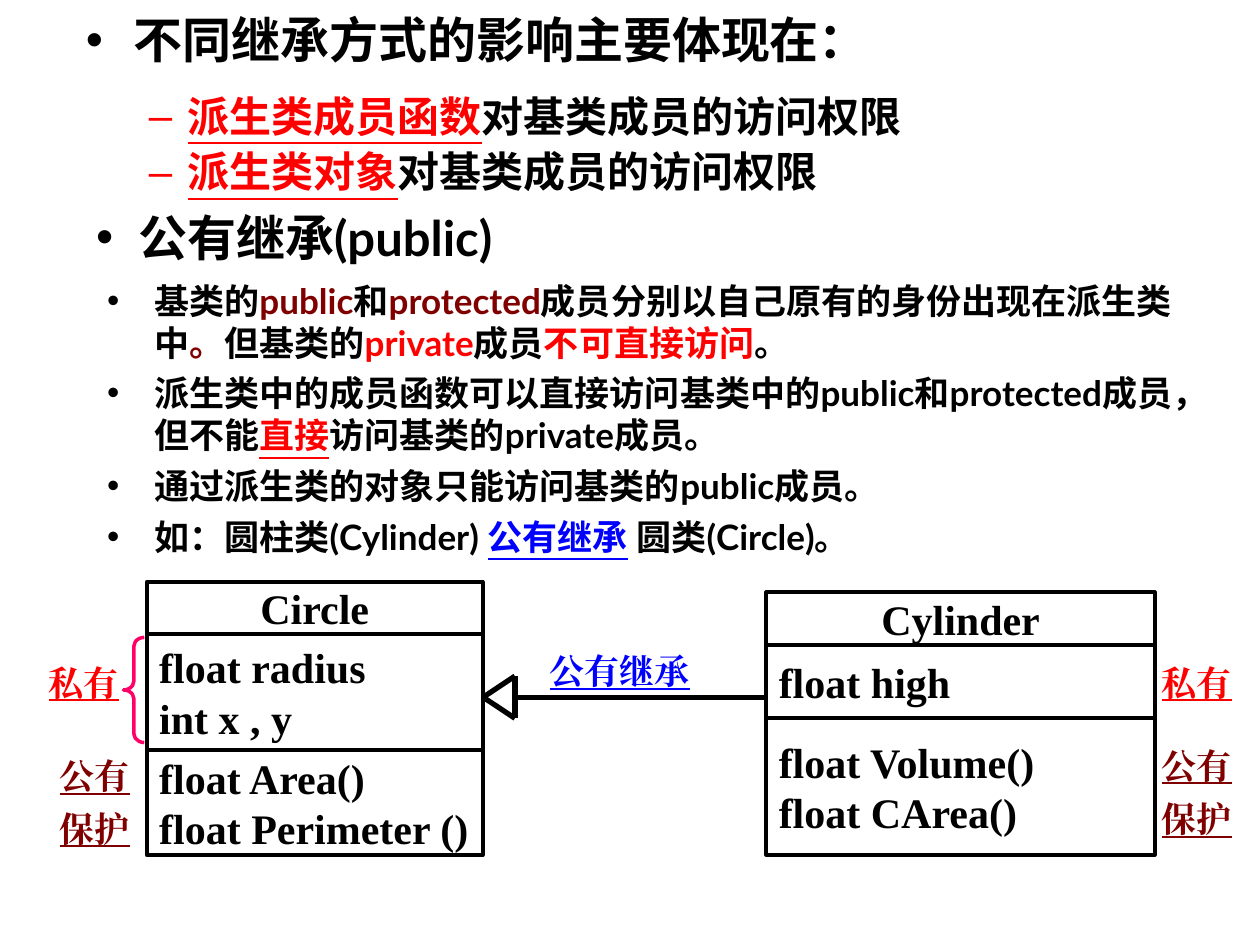
from lxml import etree
from pptx import Presentation
from pptx import util as u
from pptx.dml.color import RGBColor
from pptx.enum import shapes, text
from pptx.oxml import ns

COLORS = {"black": "000000", "red": "FF0000", "maroon": "800000",
          "blue": "0000FF", "pink": "FF0066"}
LATO = "Lato"
CJK = "Noto Sans CJK SC"
SERIF = "Times New Roman"
CENTER = text.PP_ALIGN.CENTER
MIDDLE = text.MSO_ANCHOR.MIDDLE


def color(name):
    return RGBColor.from_string(COLORS[name])


def set_all(target, values):
    for name, value in values.items():
        setattr(target, name, value)


def add_element(parent, tag, **attributes):
    return etree.SubElement(parent, ns.qn(tag), attributes)


def place(frame):
    return [u.Cm(value) for value in frame]


def add_span(para, wording, font, size, ink="black", underline=False):
    span = para.add_run()
    span.text = wording
    set_all(span.font, {"name": font, "size": u.Pt(size), "bold": True,
                        "underline": underline})
    span.font.color.rgb = color(ink)
    east_asian = LATO if font == CJK else font
    add_element(span.font._element, "a:ea", typeface=east_asian)


def add_bullet(para, mark, ink, margin, hanging):
    properties = para._p.get_or_add_pPr()
    properties.set("marL", str(u.Cm(margin)))
    properties.set("indent", str(-u.Cm(hanging)))
    tint = add_element(properties, "a:buClr")
    add_element(tint, "a:srgbClr", val=COLORS[ink])
    add_element(properties, "a:buFont", typeface="Arial")
    add_element(properties, "a:buChar", char=mark)


def add_bullets(page, frame, items, font, size, bullet, anchor=None, **spacing):
    box = page.shapes.add_textbox(*place(frame))
    set_all(box.text_frame, {"word_wrap": True, "vertical_anchor": anchor})
    for index, spans in enumerate(items):
        para = box.text_frame.paragraphs[0] if index == 0 else box.text_frame.add_paragraph()
        add_bullet(para, *bullet)
        set_all(para, spacing)
        if index == 0:
            para.space_before = u.Pt(0)
        for span in spans:
            add_span(para, span[0], font, size, *span[1:])
    return box


def add_effects(page, frame):
    right = "对基类成员的访问权限"
    box = add_bullets(page, frame, [[("不同继承方式的影响主要体现在：",)]],
                      CJK, 28, ("•", "black", 0.97, 0.97), line_spacing=0.9)
    for subject, gap in (("派生类成员函数", 15), ("派生类对象", 6)):
        para = box.text_frame.add_paragraph()
        add_bullet(para, "–", "red", 2.06, 0.79)
        set_all(para, {"level": 1, "line_spacing": 0.9, "space_before": u.Pt(gap)})
        add_span(para, subject, CJK, 24, "red", True)
        add_span(para, right, CJK, 24)


def add_rules(page, frame):
    items = [
        [("基类的",), ("public", "maroon"), ("和",), ("protected", "maroon"),
         ("成员分别以自己原有的身份出现在派生类中",), ("。", "maroon"), ("但基类的",),
         ("private", "red"), ("成员",), ("不可直接访问", "red"), ("。",)],
        [("派生类中的成员函数可以直接访问基类中的public和protected成员，但不能",),
         ("直接", "red", True), ("访问基类的private成员。",)],
        [("通过派生类的对象只能访问基类的public成员。",)],
        [("如：圆柱类(Cylinder) ",), ("公有继承", "blue", True), (" 圆类(Circle)。",)],
    ]
    add_bullets(page, frame, items, LATO, 20, ("•", "black", 0.95, 0.95),
                space_before=u.Pt(5))


def add_class(page, frame, compartments):
    left, top, width = frame
    for index, (height, lines) in enumerate(compartments):
        box = page.shapes.add_shape(shapes.MSO_SHAPE.RECTANGLE,
                                    *place((left, top, width, height)))
        box.shadow.inherit = False
        box.fill.background()
        box.line.color.rgb = color("black")
        box.line.width = u.Pt(2.25)
        set_all(box.text_frame, {"word_wrap": False, "vertical_anchor": MIDDLE})
        for number, line in enumerate(lines):
            para = box.text_frame.paragraphs[0] if number == 0 else box.text_frame.add_paragraph()
            para.alignment = CENTER if index == 0 else text.PP_ALIGN.LEFT
            add_span(para, line, SERIF, 24)
        top += height


def add_label(page, frame, wording, ink):
    box = page.shapes.add_textbox(*place(frame))
    set_all(box.text_frame, {"word_wrap": False, "vertical_anchor": MIDDLE})
    para = box.text_frame.paragraphs[0]
    para.alignment = CENTER
    add_span(para, wording, SERIF, 20, ink, True)


def add_access_labels(page, left, labels):
    for offset, top, wording, ink in labels:
        add_label(page, (left + offset, top, 2.54, 1.48), wording, ink)


def add_inheritance_arrow(page, frame):
    left, top, width, height = frame
    middle, base, right = top + height / 2, left + 0.64, left + width
    strokes = [
        (left, middle, base, top),
        (left, middle, base, top + height),
        (base, top, base, top + height),
        (base, middle, right, middle),
    ]
    for stroke in strokes:
        line = page.shapes.add_connector(shapes.MSO_CONNECTOR.STRAIGHT, *place(stroke))
        line.line.color.rgb = color("black")
        line.line.width = u.Pt(3)
        add_element(line._element.spPr, "a:effectLst")
    add_label(page, (left + 0.85, top - 0.85, 3.81, 1.48), "公有继承", "blue")


def add_brace(page, frame):
    brace = page.shapes.add_shape(shapes.MSO_SHAPE.LEFT_BRACE, *place(frame))
    brace.shadow.inherit = False
    brace.adjustments[0] = 0.42
    brace.fill.background()
    brace.line.color.rgb = color("pink")
    brace.line.width = u.Pt(2)


def main():
    deck = Presentation()
    deck.slide_width, deck.slide_height = u.Cm(25.4), u.Cm(19.05)
    page = deck.slides.add_slide(deck.slide_layouts[6])
    add_effects(page, (1.48, 0.21, 21.17, 4.45))
    add_bullets(page, (1.69, 3.18, 10.37, 3.18), [[("公有继承(public)",)]],
                LATO, 28, ("•", "black", 0.85, 0.85), MIDDLE)
    add_rules(page, (1.91, 5.5, 22.01, 5.93))
    add_class(page, (2.96, 11.73, 6.77), [
        (1.06, ["Circle"]),
        (2.33, ["float radius", "int x , y"]),
        (2.12, ["float Area()", "float Perimeter ()"]),
    ])
    add_class(page, (15.45, 11.94, 7.83), [
        (1.06, ["Cylinder"]),
        (1.48, ["float high"]),
        (2.75, ["float Volume()", "float CArea()"]),
    ])
    add_inheritance_arrow(page, (9.74, 13.63, 5.71, 0.85))
    add_brace(page, (2.49, 12.85, 0.42, 2.12))
    add_access_labels(page, 0.42, [
        (0, 13.02, "私有", "red"),
        (0.22, 14.9, "公有", "maroon"),
        (0.22, 15.96, "保护", "maroon"),
    ])
    add_access_labels(page, 22.86, [
        (0, 13.02, "私有", "red"),
        (0, 14.69, "公有", "maroon"),
        (0, 15.77, "保护", "maroon"),
    ])
    deck.save("out.pptx")


if __name__ == "__main__":
    main()
